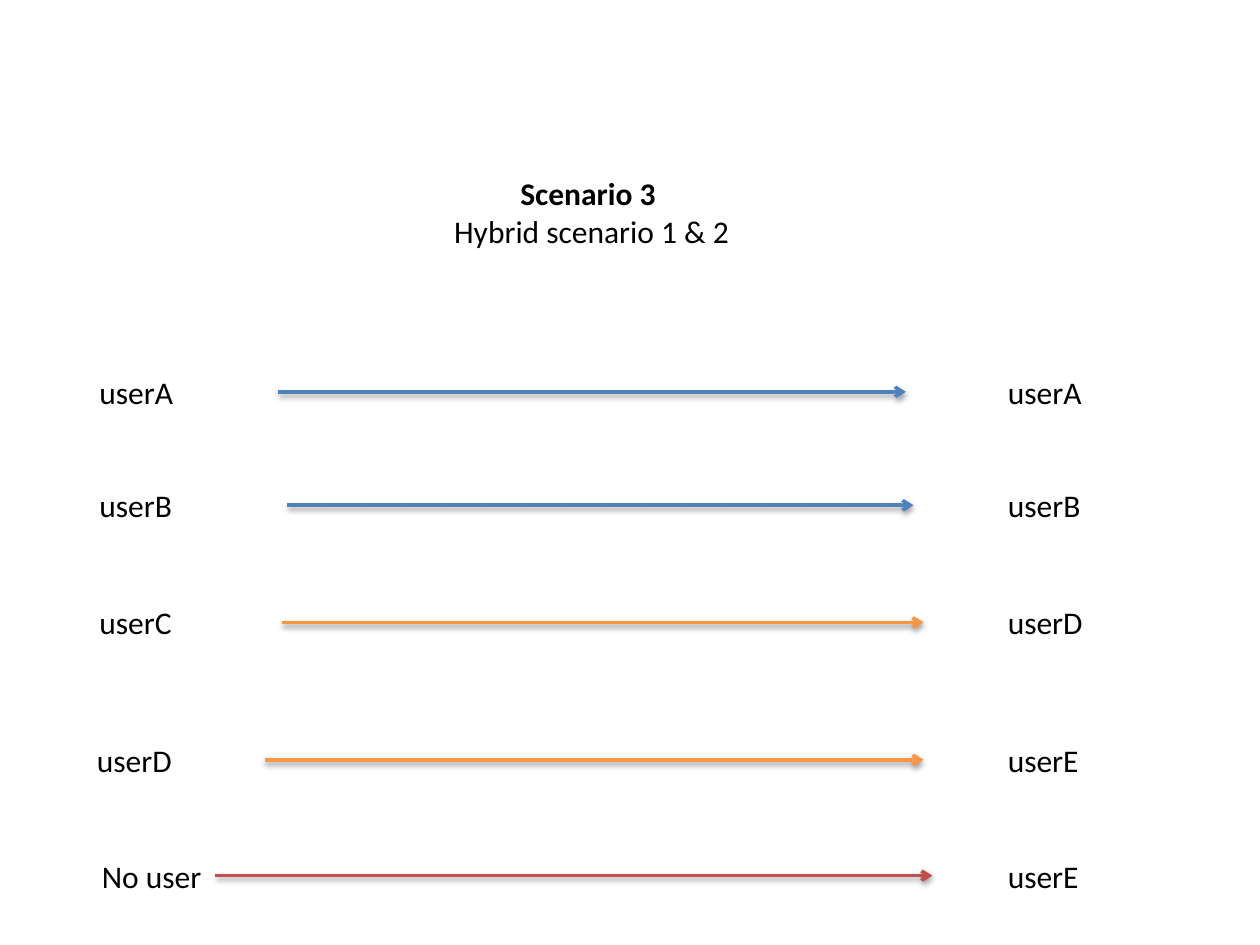
from dataclasses import dataclass

from lxml import etree
from pptx import Presentation
from pptx.dml.color import RGBColor
from pptx.enum.shapes import MSO_CONNECTOR
from pptx.enum.text import MSO_AUTO_SIZE, PP_ALIGN
from pptx.oxml import parse_xml
from pptx.oxml.ns import nsdecls, qn
from pptx.util import Inches, Pt

STRAIGHT = MSO_CONNECTOR.STRAIGHT
LEFT, CENTER = PP_ALIGN.LEFT, PP_ALIGN.CENTER
GROW = MSO_AUTO_SIZE.SHAPE_TO_FIT_TEXT


@dataclass(frozen=True)
class Theme:
    font: str = "Calibri"
    size: float = 18
    line: float = 2
    text: RGBColor = RGBColor(0, 0, 0)
    same: RGBColor = RGBColor(0x4F, 0x81, 0xBD)
    renamed: RGBColor = RGBColor(0xF7, 0x96, 0x46)
    created: RGBColor = RGBColor(0xC0, 0x50, 0x4D)


THEME = Theme()
LABEL_H = 0.4
LABEL_W = {"userA": 0.79, "userB": 0.78, "userC": 0.78,
           "userD": 0.8, "userE": 0.77, "No user": 1.0}
TARGET_X = 7.9

SHADOW = (
    f'<a:effectLst {nsdecls("a")}>'
    f'<a:outerShdw blurRad="{Pt(3.1)}" dist="{Pt(1.6)}" dir="5400000" rotWithShape="0">'
    '<a:srgbClr val="000000"><a:alpha val="38000"/></a:srgbClr>'
    '</a:outerShdw></a:effectLst>'
)

# top, source, source left, arrow start, arrow end, target, colour
MAPPINGS = [
    (2.91, "userA", 0.69, 2.21, 7.19, "userA", THEME.same),
    (3.81, "userB", 0.69, 2.28, 7.25, "userB", THEME.same),
    (4.74, "userC", 0.69, 2.24, 7.33, "userD", THEME.renamed),
    (5.83, "userD", 0.67, 2.1, 7.33, "userE", THEME.renamed),
    (6.75, "No user", 0.71, 1.71, 7.4, "userE", THEME.created),
]


def add_text(slide, box, lines, align=LEFT):
    """Place unwrapped lines, each a (text, bold) pair, in the box."""
    tf = slide.shapes.add_textbox(*map(Inches, box)).text_frame
    tf.word_wrap = False
    tf.auto_size = GROW
    for i, (text, bold) in enumerate(lines):
        p = tf.add_paragraph() if i else tf.paragraphs[0]
        p.alignment = align
        r = p.add_run()
        r.text = text
        fmt = {"name": THEME.font, "size": Pt(THEME.size), "bold": bold}
        for key, value in fmt.items():
            setattr(r.font, key, value)
        r.font.color.rgb = THEME.text


def add_arrow(slide, x1, x2, y, color):
    cxn = slide.shapes.add_connector(STRAIGHT, *map(Inches, (x1, y, x2, y)))
    cxn.line.color.rgb = color
    cxn.line.width = Pt(THEME.line)
    etree.SubElement(cxn.line._get_or_add_ln(), qn("a:tailEnd"), type="arrow")
    cxn._element.spPr.append(parse_xml(SHADOW))


def add_heading(slide, box):
    lines = [("Scenario 3 ", True), ("Hybrid scenario 1 & 2", False)]
    add_text(slide, box, lines, CENTER)


def add_mapping(slide, top, source, left, start, end, target, color):
    """One row: source user, arrow, target user."""
    for x, name in ((left, source), (TARGET_X, target)):
        add_text(slide, (x, top, LABEL_W[name], LABEL_H), [(name, False)])
    add_arrow(slide, start, end, top + LABEL_H / 2, color)


def main():
    prs = Presentation()
    prs.slide_width, prs.slide_height = Inches(10), Inches(7.5)
    slide = prs.slides.add_slide(prs.slide_layouts[6])

    # Heading
    add_heading(slide, (3.49, 1.33, 2.41, 0.71))

    # User mappings
    for mapping in MAPPINGS:
        add_mapping(slide, *mapping)

    prs.save("out.pptx")


if __name__ == "__main__":
    main()
